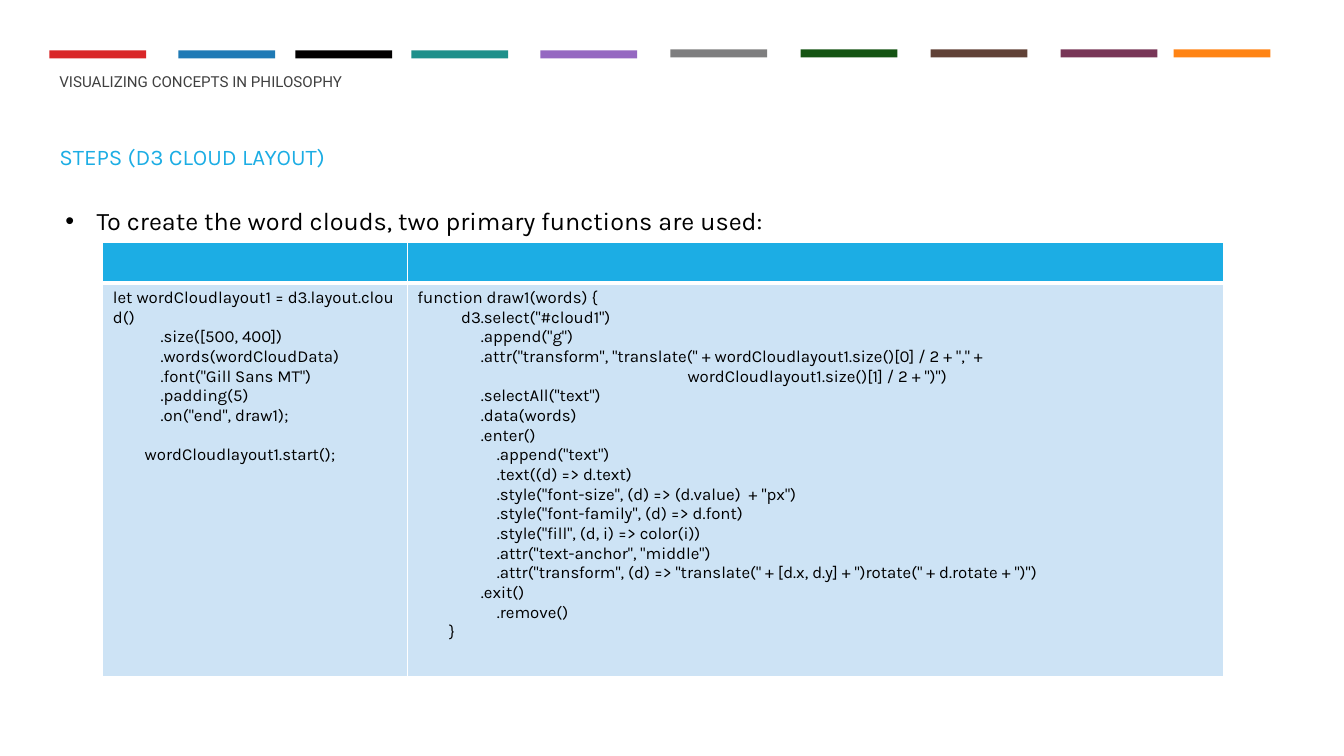
from pptx import Presentation
from pptx.dml.color import RGBColor
from pptx.enum.shapes import MSO_SHAPE
from pptx.enum.text import MSO_ANCHOR
from pptx.oxml.ns import qn
from pptx.util import Inches, Pt
from lxml import etree

RECTANGLE = MSO_SHAPE.RECTANGLE
TOP, BOTTOM = MSO_ANCHOR.TOP, MSO_ANCHOR.BOTTOM

BODY_FONT, TITLE_FONT = "Karla", "Roboto"
BLUE, PALE_BLUE, WHITE, BLACK, GREY = "1CADE4", "CDE3F5", "FFFFFF", "000000", "404040"
CODE_SPACE = 0.0394  # width in inches of one space of code indentation
CODE_LINE = 14       # height in points of one line of code
NBSP = "\u00a0"

# Left edge and colour of each bar
BARS = [(0.49, "D92729"), (1.77, "1F7AB5"), (2.93, "020000"), (4.08, "1E908B"),
        (5.36, "9568C1"), (6.65, "7E7E7F"), (7.94, "155413"), (9.23, "614237"),
        (10.52, "783657"), (11.64, "FF8415")]
FIRST_RAISED_BAR = 5

# Code lines: indentation in spaces, text; an empty text is a one-line gap
LAYOUT_CODE = [
    (0, "let wordCloudlayout1 = d3.layout.cloud()"),
    (12, ".size([500, 400])"),
    (12, ".words(wordCloudData)"),
    (12, '.font("Gill Sans MT")'),
    (12, ".padding(5)"),
    (12, '.on("end", draw1);'),
    (0, ""),
    (8, "wordCloudlayout1.start();"),
]
DRAW_CODE = [
    (0, "function draw1(words) {"),
    (11, 'd3.select("#cloud1")'),
    (16, '.append("g")'),
    (16, '.attr("transform", "translate(" + wordCloudlayout1.size()[0] / 2 + "," +'),
    (68, 'wordCloudlayout1.size()[1] / 2 + ")")'),
    (16, '.selectAll("text")'),
    (16, ".data(words)"),
    (16, ".enter()"),
    (20, '.append("text")'),
    (20, ".text((d) => d.text)"),
    (20, '.style("font-size", (d) => (d.value)  + "px")'),
    (20, '.style("font-family", (d) => d.font)'),
    (20, '.style("fill", (d, i) => color(i))'),
    (20, '.attr("text-anchor", "middle")'),
    (20, '.attr("transform", (d) => "translate(" + [d.x, d.y] + ")rotate(" + d.rotate + ")")'),
    (16, ".exit()"),
    (20, ".remove()"),
    (8, "}"),
]


def colour(hex_string):
    return RGBColor.from_string(hex_string)


def write(paragraph, text, size, font=BODY_FONT, fill=BLACK, indent=0, bullet=None,
          before=0, after=0, spacing=None):
    """Fill a paragraph with one formatted span; a bullet hangs in the indent."""
    span = paragraph.add_run()
    span.text = text
    span.font.size = Pt(size)
    span.font.name = font
    span.font.color.rgb = colour(fill)
    paragraph.space_before = Pt(before)
    paragraph.space_after = Pt(after)
    if spacing:
        paragraph.line_spacing = spacing
    properties = paragraph._p.get_or_add_pPr()
    properties.set("marL", str(Inches(indent)))
    properties.set("indent", str(-Inches(indent) if bullet else 0))
    if bullet:
        etree.SubElement(properties, qn("a:buFont")).set("typeface", "Arial")
        etree.SubElement(properties, qn("a:buChar")).set("char", bullet)


def add_bar(page, left, top, fill):
    bar = page.shapes.add_shape(RECTANGLE, Inches(left), Inches(top),
                                Inches(0.96), Inches(0.08))
    bar.shadow.inherit = False
    bar.fill.solid()
    bar.fill.fore_color.rgb = colour(fill)
    bar.line.fill.background()


def add_text(page, left, top, width, height, text, size, anchor=TOP, **format_options):
    box = page.shapes.add_textbox(Inches(left), Inches(top), Inches(width), Inches(height))
    frame = box.text_frame
    frame.word_wrap = True
    frame.vertical_anchor = anchor
    write(frame.paragraphs[0], text, size, **format_options)


def style_cell(cell, fill, top=1, bottom=1):
    """Draw white borders of the given widths in points, then fill the cell."""
    properties = cell._tc.get_or_add_tcPr()
    for side, width in (("L", 1), ("R", 1), ("T", top), ("B", bottom)):
        border = etree.SubElement(properties, qn("a:ln" + side), w=str(Pt(width)))
        paint = etree.SubElement(border, qn("a:solidFill"))
        etree.SubElement(paint, qn("a:srgbClr"), val=WHITE)
    cell.fill.solid()
    cell.fill.fore_color.rgb = colour(fill)


def write_code(cell, lines):
    """Non-breaking spaces let a long line wrap at the cell edge."""
    paragraph, gap = cell.text_frame.paragraphs[0], 0
    for number, (spaces, text) in enumerate(lines):
        if not text:
            gap += CODE_LINE
            continue
        if number:
            paragraph = cell.text_frame.add_paragraph()
        write(paragraph, text.replace(" ", NBSP), 12,
              indent=spaces * CODE_SPACE, before=gap)
        gap = 0


def add_code_table(page, left, top, widths, heights, columns):
    frame = page.shapes.add_table(len(heights), len(widths), Inches(left), Inches(top),
                                  Inches(sum(widths)), Inches(sum(heights)))
    table = frame.table
    table.horz_banding = False
    for row, height in zip(table.rows, heights):
        row.height = Inches(height)
    for index, (width, lines) in enumerate(zip(widths, columns)):
        table.columns[index].width = Inches(width)
        style_cell(table.cell(0, index), BLUE, bottom=3)
        style_cell(table.cell(1, index), PALE_BLUE, top=3)
        write_code(table.cell(1, index), lines)


def main():
    deck = Presentation()
    deck.slide_width, deck.slide_height = Inches(13.33), Inches(7.5)
    page = deck.slides.add_slide(deck.slide_layouts[6])

    # Coloured bars
    for index, (left, fill) in enumerate(BARS):
        add_bar(page, left, 0.5 if index < FIRST_RAISED_BAR else 0.49, fill)

    # Headings and lead sentence
    add_text(page, 0.49, 0.66, 12.02, 0.29, "VISUALIZING CONCEPTS IN PHILOSOPHY", 10.8,
             anchor=BOTTOM, font=TITLE_FONT, fill=GREY)
    add_text(page, 0.49, 1.34, 12.02, 0.65, "STEPS (D3 CLOUD LAYOUT)", 16,
             fill=BLUE, before=3.2, after=6, spacing=1.1)
    add_text(page, 0.55, 1.99, 12.54, 0.4,
             "To create the word clouds, two primary functions are used:", 18,
             indent=0.31, bullet="\u2022")

    # The two functions side by side
    add_code_table(page, 1.02, 2.4, (3.02, 8.1), (0.41, 3.9), (LAYOUT_CODE, DRAW_CODE))

    deck.save("out.pptx")


main()
